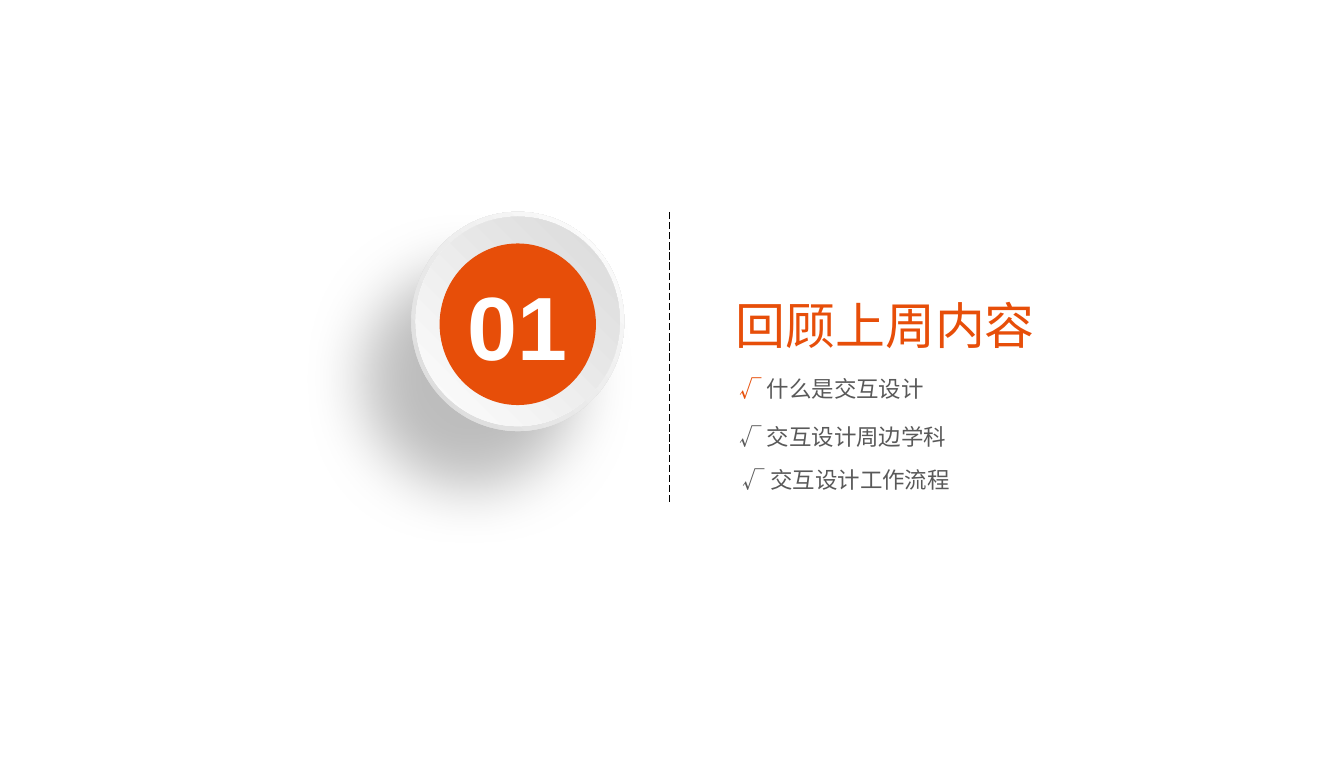
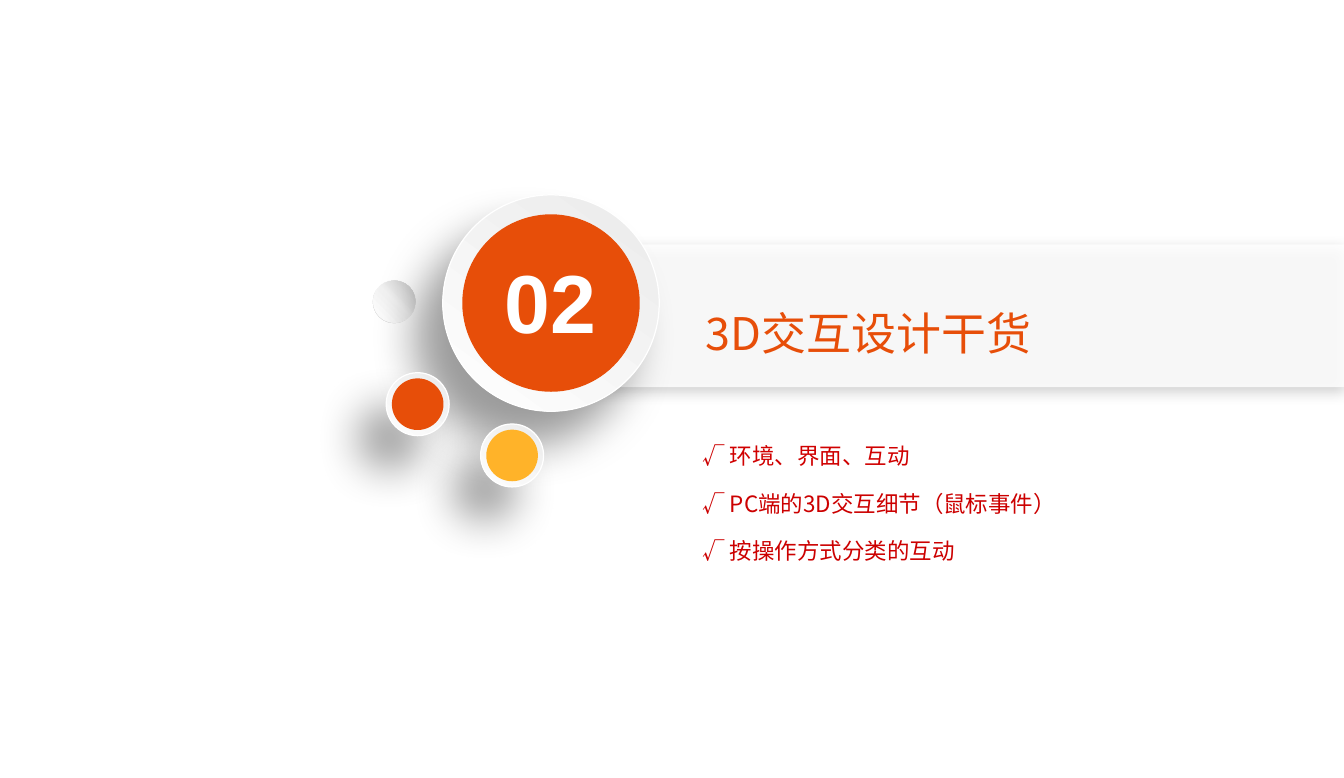
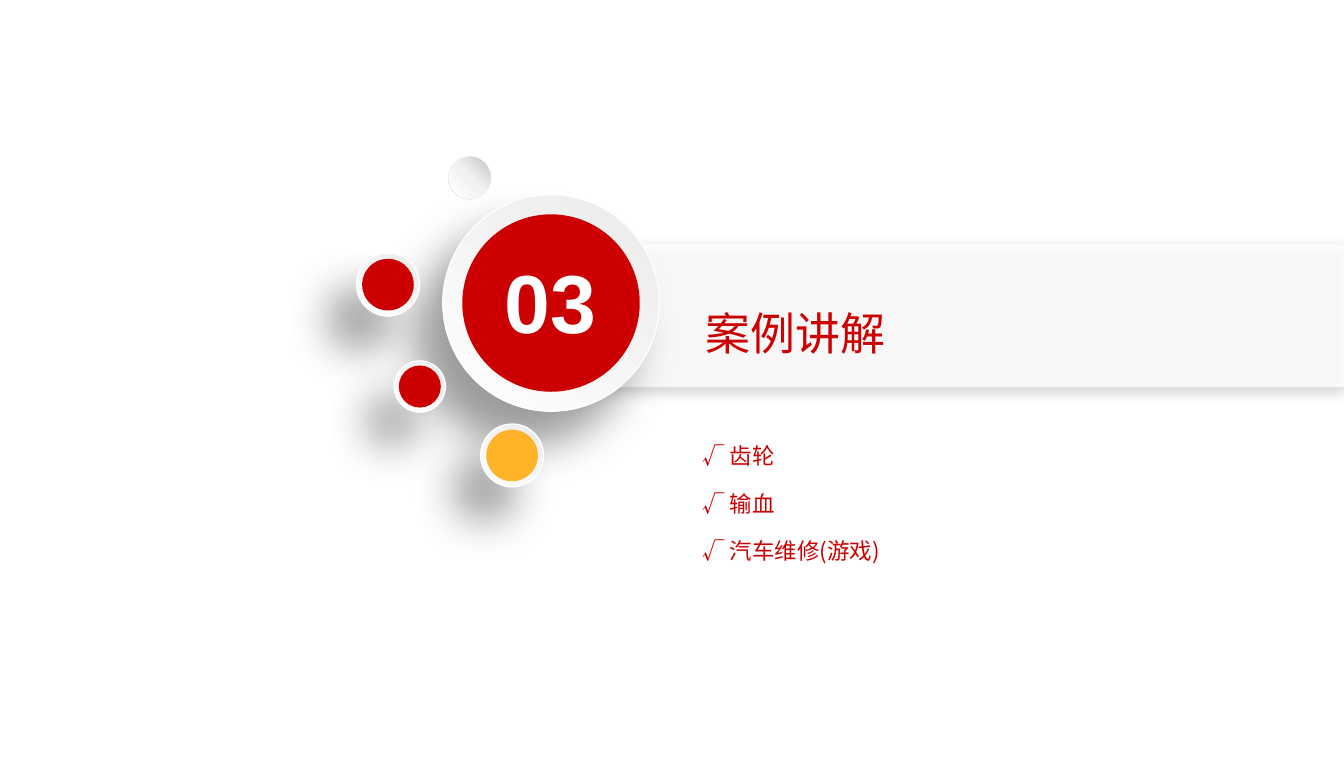
import pptx
import pptx.util
import pptx.dml.color
import pptx.enum.dml
import pptx.enum.shapes
import pptx.enum.text
import pptx.oxml
import pptx.oxml.ns
from lxml import etree

Cm = pptx.util.Cm
SHAPES = pptx.enum.shapes.MSO_SHAPE
qn = pptx.oxml.ns.qn

COLOURS = {
    "orange": "E74E09",
    "red": "CC0000",
    "bright_red": "D00000",
    "amber": "FFB329",
    "grey": "595959",
    "black": "000000",
    "white": "FFFFFF",
}
CJK_FONT = "Noto Sans CJK SC"
NUMBER_FONT = "Arial"

# Gradients: stops as (percent, colour), then the direction in degrees or "corner"
RIM = ([(0, "EBEBEB"), (100, "FEFEFE")], 126)
BALL_EDGE = ([(0, "F2F2F2"), (55, "F2F2F2"), (100, "D9D9D9")], 135)
BALL = ([(0, "FFFFFF"), (51, "F2F2F2"), (100, "C5C5C5")], 315)
DISC_EDGE = ([(0, "FFFFFF"), (100, "D9D9D9")], "corner")
DISC = ([(0, "D9D9D9"), (100, "FEFEFE")], "corner")

# Shadows: opacity in percent, blur and distance in points, angle in degrees
DISC_SHADOW = (25, 50, 60, 130)
RIM_SHADOW = (38, 36, 35, 130)
BAND_SHADOW = (22, 11, 3, 90)


def rgb(name):
    return pptx.dml.color.RGBColor.from_string(COLOURS[name])


def add_xml(parent, tag, **attributes):
    values = {key: str(value) for key, value in attributes.items()}
    return etree.SubElement(parent, qn(tag), values)


def write_text(frame, spans, size=18, colour="grey", font=CJK_FONT, bold=False, align=None):
    """Fill a frame with one paragraph; spans is a string or (text, colour) pairs."""
    if isinstance(spans, str):
        spans = [(spans, colour)]
    para = frame.paragraphs[0]
    para.alignment = align
    for text, span_colour in spans:
        span = para.add_run()
        span.text = text
        span.font.size = pptx.util.Pt(size)
        span.font.bold = bold
        span.font.name = font
        span.font.color.rgb = rgb(span_colour)
        add_xml(span.font._element, "a:ea", typeface=font)


class SectionDeck:
    """Holds the deck, its current slide and the style of each element."""

    def __init__(self):
        self.deck = pptx.Presentation()
        self.deck.slide_width = Cm(38)
        self.deck.slide_height = Cm(22)
        self.slide = None

    def new_slide(self):
        self.slide = self.deck.slides.add_slide(self.deck.slide_layouts[6])

    def text(self, spans, left, top, width, height, **style):
        box = self.slide.shapes.add_textbox(Cm(left), Cm(top), Cm(width), Cm(height))
        box.text_frame.word_wrap = True
        box.text_frame.auto_size = pptx.enum.text.MSO_AUTO_SIZE.SHAPE_TO_FIT_TEXT
        write_text(box.text_frame, spans, **style)

    def shape(self, kind, left, top, width, height, fill, rim=False, shadow=None):
        shape = self.slide.shapes.add_shape(kind, Cm(left), Cm(top), Cm(width), Cm(height))
        if isinstance(fill, str):
            shape.fill.solid()
            shape.fill.fore_color.rgb = rgb(fill)
        else:
            self.gradient(shape, *fill)
        if rim:
            shape.line.color.rgb = rgb("white")
            shape.line.width = pptx.util.Pt(1)
        else:
            shape.line.fill.background()
        shape.shadow.inherit = False
        if shadow:
            self.shadow(shape, *shadow)
        return shape

    def gradient(self, shape, stops, direction):
        shape.fill.background()
        properties = shape._element.spPr
        fill = etree.Element(qn("a:gradFill"), rotWithShape="1")
        stop_list = add_xml(fill, "a:gsLst")
        for position, colour in stops:
            stop = add_xml(stop_list, "a:gs", pos=position * 1000)
            add_xml(stop, "a:srgbClr", val=colour)
        if direction == "corner":
            corner = add_xml(fill, "a:path", path="circle")
            add_xml(corner, "a:fillToRect", l=100000, b=100000)
        else:
            add_xml(fill, "a:lin", ang=direction * 60000, scaled=0)
        properties.replace(properties.find(qn("a:noFill")), fill)

    def shadow(self, shape, opacity, blur, distance, angle):
        effects = shape._element.spPr.find(qn("a:effectLst"))
        outer = add_xml(effects, "a:outerShdw", blurRad=blur * 12700, dist=distance * 12700,
                        dir=angle * 60000, algn="ctr", rotWithShape=0)
        colour = add_xml(outer, "a:srgbClr", val=COLOURS["black"])
        add_xml(colour, "a:alpha", val=opacity * 1000)

    def circle(self, x, y, width, fill, height=None, kind=SHAPES.OVAL, **style):
        """Draw a round shape around its centre."""
        height = height or width
        return self.shape(kind, x - width / 2, y - height / 2, width, height, fill, **style)

    def dashed_line(self, x, top, bottom):
        line = self.slide.shapes.add_connector(
            pptx.enum.shapes.MSO_CONNECTOR.STRAIGHT, Cm(x), Cm(top), Cm(x), Cm(bottom))
        line.line.color.rgb = rgb("black")
        line.line.width = pptx.util.Pt(0.75)
        line.line.dash_style = pptx.enum.dml.MSO_LINE.LONG_DASH
        add_xml(line._element.spPr, "a:effectLst")

    def band(self):
        band = self.shape(SHAPES.RECTANGLE, 16.31, 6.91, 21.69, 4.04, "white", shadow=BAND_SHADOW)
        colour = band._element.spPr.find(qn("a:solidFill")).find(qn("a:srgbClr"))
        add_xml(colour, "a:alpha", val=84000)

    def ball(self, x, y):
        edge = self.circle(x, y, 1.22, BALL_EDGE, kind=SHAPES.DONUT)
        edge.adjustments[0] = 0.05
        self.circle(x, y, 1.19, BALL)

    def button(self, x, y, size, colour):
        self.circle(x, y, size, RIM, rim=True, shadow=RIM_SHADOW)
        self.circle(x, y, size * 0.82, colour)

    def numbered_disc(self, number, x, y):
        self.circle(x, y, 6.02, DISC_EDGE, height=6.2, shadow=DISC_SHADOW)
        self.circle(x, y, 5.77, DISC, height=5.92)
        core = self.circle(x, y + 0.08, 4.42, "orange", height=4.57)
        frame = core.text_frame
        frame.margin_left = frame.margin_right = 0
        frame.margin_top = frame.margin_bottom = Cm(0.15)
        frame.vertical_anchor = pptx.enum.text.MSO_ANCHOR.MIDDLE
        write_text(frame, number, size=72, colour="white", font=NUMBER_FONT, bold=True,
                   align=pptx.enum.text.PP_ALIGN.CENTER)

    def band_section(self, number, title, title_width, colour, points, ball, buttons):
        """A section slide with a title band, a numbered button and small buttons."""
        self.new_slide()
        self.band()
        self.text(title, 19.71, 8.53, title_width, 1.98, size=36, colour=colour)
        for row, (spans, width) in enumerate(points):
            self.text(spans, 19.61, 12.37 + row * 1.35, width, 1.07, colour="red")
        self.ball(*ball)
        self.button(15.58, 8.57, 6.12, colour)
        self.text(number, 14.02, 6.99, 3.15, 3.07, size=66, colour="white",
                  font=NUMBER_FONT, bold=True)
        for button in buttons:
            self.button(*button)


def main():
    show = SectionDeck()

    # Section 1: review
    show.new_slide()
    show.text([("√", "orange"), (" 什么是交互设计", "grey")], 20.65, 10.49, 8.74, 1.07)
    show.text("√ 交互设计周边学科", 20.65, 11.84, 7.75, 1.07)
    show.text("√ 交互设计工作流程", 20.75, 13.06, 7.65, 1.07)
    show.text("回顾上周内容", 20.55, 8.2, 9.27, 2.16, size=40, colour="orange")
    show.numbered_disc("01", 14.64, 9.09)
    show.dashed_line(18.92, 5.99, 14.25)

    # Sections 2 and 3: title band
    amber_button = (14.48, 12.88, 1.78, "amber")
    show.band_section(
        "02", "3D交互设计干货", 12.9, "orange",
        points=[
            ([("√", "red"), (" 环境、界面、互动", "bright_red")], 8.1),
            ("√ PC端的3D交互细节（鼠标事件）", 11.71),
            ("√ 按操作方式分类的互动", 9.42),
        ],
        ball=(11.15, 8.53),
        buttons=[(11.81, 11.43, 1.78, "orange"), amber_button],
    )
    show.band_section(
        "03", "案例讲解", 10.29, "red",
        points=[("√ 齿轮", 4.27), ("√ 输血", 4.27), ("√ 汽车维修(游戏)", 8.15)],
        ball=(13.28, 5.03),
        buttons=[(10.97, 8.05, 1.78, "red"), amber_button, (11.87, 10.93, 1.45, "red")],
    )

    show.deck.save("out.pptx")


if __name__ == "__main__":
    main()
